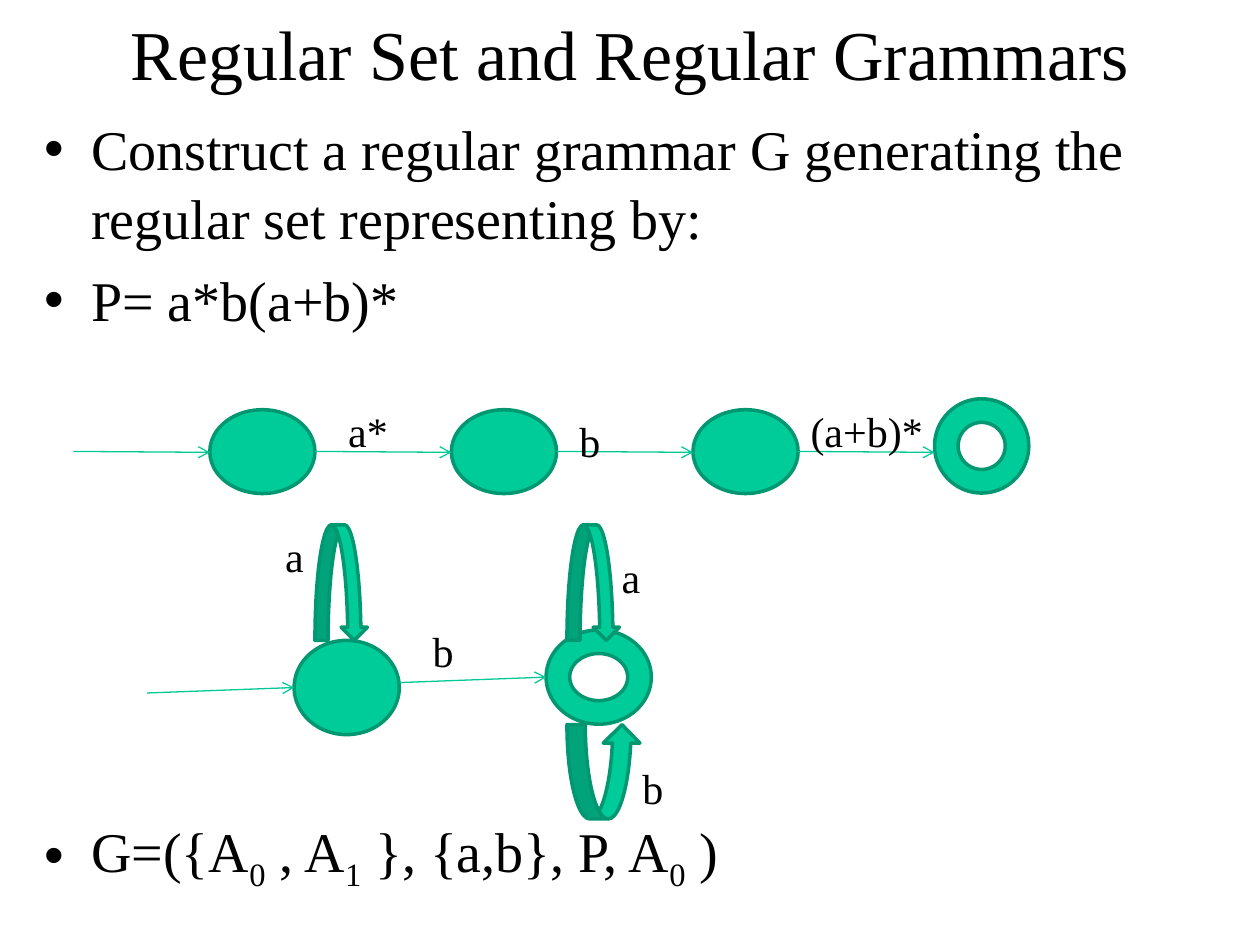
import pptx
import pptx.util
import pptx.dml.color
import pptx.enum.shapes
import pptx.enum.text
import pptx.oxml
import pptx.oxml.ns
from pptx.util import Cm, Pt

kinds = pptx.enum.shapes.MSO_SHAPE
aligns = pptx.enum.text.PP_ALIGN
anchors = pptx.enum.text.MSO_ANCHOR

theme = {
    "face": "Times New Roman",
    "ink": "000000", "fill": "00CC99", "edge": "009771", "wire": "00C896",
    "title": 40, "body": 32, "label": 24,
    "border": 2, "thin": 0.75,
}

title = "Regular Set and Regular Grammars"
points = [
    ([("Construct a regular grammar G generating the regular set representing by:", 0)], 6.4),
    ([("P= a*b(a+b)*", 0)], 6.4),
    ([("G=({A", 0), ("0", 1), (" , A", 0), ("1", 1),
      (" }, {a,b}, P, A", 0), ("0", 1), (" )", 0)], 275),
]

left, step, wide = 4.23, 4.87, 2.12
row = 9.1
nodes = [(kinds.OVAL, left + i * step, 8.26, wide, 1.69) for i in range(3)]
nodes += [
    (kinds.DONUT, left + 3 * step, 8.04, 1.9, 1.9),
    (kinds.OVAL, 5.93, 12.91, wide, 1.9),
    (kinds.DONUT, 11.01, 12.7, wide, 1.9),
]
loops = [
    (kinds.CURVED_DOWN_ARROW, 11.43, 10.58, 1.06, 2.33),
    (kinds.CURVED_UP_ARROW, 11.43, 14.61, 1.48, 1.9),
    (kinds.CURVED_DOWN_ARROW, 6.35, 10.58, 1.06, 2.33),
]
wires = [(left + i * step - 2.75, row, left + i * step, row + 0.02) for i in range(4)]
wires += [(2.96, 13.97, 5.93, 13.86), (8.05, 13.76, 11.01, 13.65)]
labels = [
    ("a*", 6.77, 8.04), ("b", 11.43, 8.26), ("(a+b)*", 16.09, 8.04),
    ("a", 5.5, 10.57), ("b", 8.47, 12.48), ("a", 12.28, 11), ("b", 12.7, 15.24),
]


def tint(name):
    return pptx.dml.color.RGBColor.from_string(theme[name])


def apply(item, **form):
    for key, value in form.items():
        setattr(item, key, value)


def write(para, text, size, sub=0):
    run = para.add_run()
    run.text = text
    apply(run.font, name=theme["face"], size=Pt(theme[size]))
    run.font.color.rgb = tint("ink")
    if sub:
        run._r.get_or_add_rPr().set("baseline", "-25000")


def add_box(x, y, w, h, wrap=True):
    box = slide.shapes.add_textbox(Cm(x), Cm(y), Cm(w), Cm(h))
    box.text_frame.word_wrap = wrap
    return box.text_frame


def add_shape(kind, x, y, w, h):
    shape = slide.shapes.add_shape(kind, Cm(x), Cm(y), Cm(w), Cm(h))
    shape.shadow.inherit = False
    shape.fill.solid()
    shape.fill.fore_color.rgb = tint("fill")
    shape.line.color.rgb = tint("edge")
    shape.line.width = Pt(theme["border"])


def add_wire(*ends):
    wire = slide.shapes.add_connector(
        pptx.enum.shapes.MSO_CONNECTOR.STRAIGHT, *map(Cm, ends))
    wire.line.color.rgb = tint("wire")
    wire.line.width = Pt(theme["thin"])
    tail = pptx.oxml.parse_xml(
        '<a:tailEnd %s type="arrow"/>' % pptx.oxml.ns.nsdecls("a"))
    wire.line._get_or_add_ln().append(tail)
    wire._element.spPr.append(pptx.oxml.parse_xml(
        "<a:effectLst %s/>" % pptx.oxml.ns.nsdecls("a")))


def add_point(para, runs, gap):
    apply(para, space_before=Pt(gap), line_spacing=1.04)
    props = para._p.get_or_add_pPr()
    for key, value in (("marL", Cm(0.95)), ("indent", -Cm(0.95))):
        props.set(key, str(int(value)))
    for xml in ('<a:buFont %s typeface="Arial"/>', '<a:buChar %s char="•"/>'):
        props.append(pptx.oxml.parse_xml(xml % pptx.oxml.ns.nsdecls("a")))
    for text, sub in runs:
        write(para, text, "body", sub)


deck = pptx.Presentation()
apply(deck, slide_width=Cm(25.4), slide_height=Cm(19.05))
slide = deck.slides.add_slide(deck.slide_layouts[5])

head = slide.shapes.title
apply(head, left=Cm(1.9), top=Cm(0), width=Cm(21.6), height=Cm(2.12))
apply(head.text_frame, vertical_anchor=anchors.MIDDLE, word_wrap=True)
para = head.text_frame.paragraphs[0]
para.alignment = aligns.CENTER
write(para, title, "title")

frame = add_box(0.64, 2.12, 23.92, 16.93)
for i, (runs, gap) in enumerate(points):
    add_point(frame.add_paragraph() if i else frame.paragraphs[0], runs, gap)

for node in nodes:
    add_shape(*node)
for wire in wires:
    add_wire(*wire)
for loop in loops:
    add_shape(*loop)
for text, x, y in labels:
    write(add_box(x, y, 3.18 if len(text) > 2 else 1.9, 1.27).paragraphs[0], text, "label")

deck.save("out.pptx")
